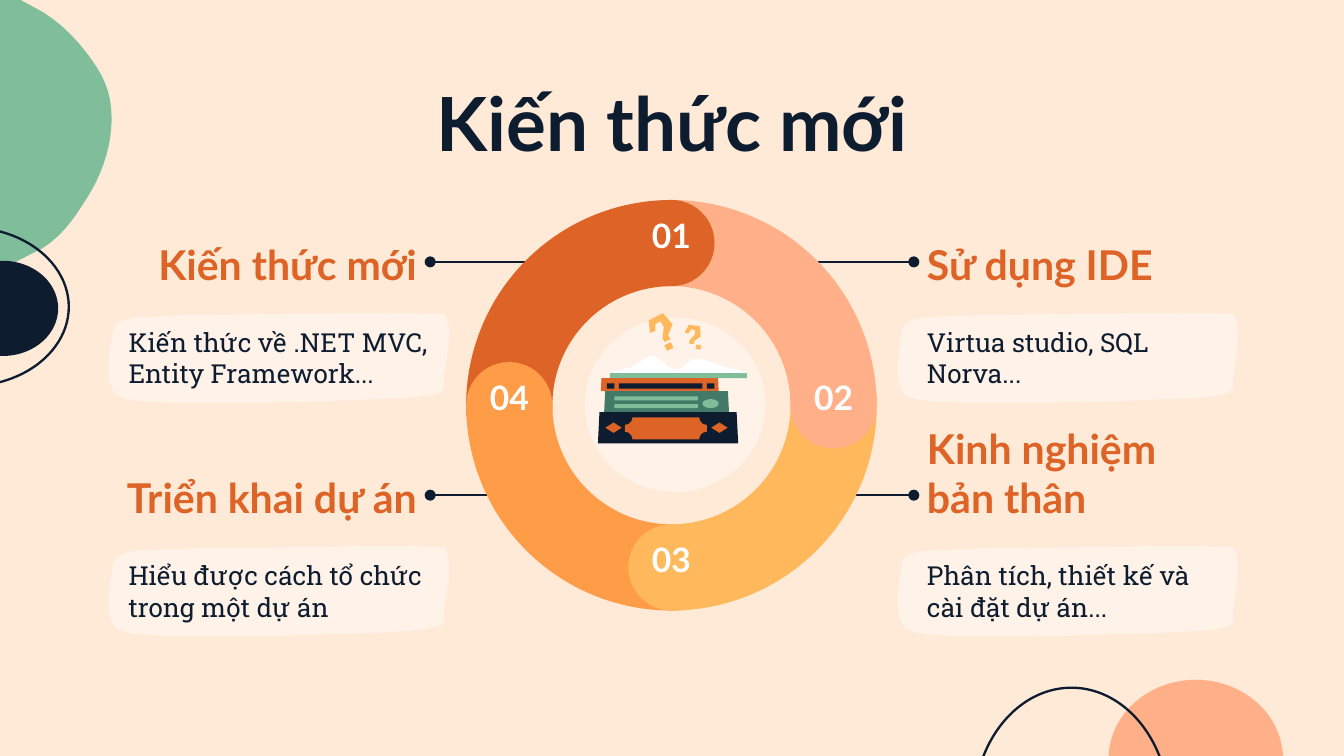
from dataclasses import dataclass

from lxml.etree import SubElement
from pptx import Presentation
from pptx.dml.color import RGBColor
from pptx.enum.shapes import MSO_CONNECTOR, MSO_SHAPE as Preset
from pptx.enum.text import MSO_ANCHOR as Anchor, PP_ALIGN as Align
from pptx.oxml.ns import qn
from pptx.util import Cm, Pt


@dataclass(frozen=True)
class Theme:
    cream: str = "FFEAD8"
    pale: str = "FFF2E8"
    white: str = "FFFFFF"
    navy: str = "0E1C30"
    mint: str = "80BE9B"
    pine: str = "437A67"
    pink: str = "FFB088"
    rust: str = "DD6326"
    orange: str = "FF9C47"
    yellow: str = "FFB95C"
    heading_font: str = "Lato"
    body_font: str = "Roboto Slab"
    title_size: int = 40
    heading_size: int = 22
    number_size: int = 18
    body_size: int = 14


@dataclass(frozen=True)
class Box:
    """A rectangle in centimetres."""
    left: float
    top: float
    width: float
    height: float

    def lengths(self):
        return Cm(self.left), Cm(self.top), Cm(self.width), Cm(self.height)

    def inner(self, left, top, width, height):
        """The part of this box given in percent of its sides."""
        return Box(self.left + self.width * left / 100, self.top + self.height * top / 100,
                   self.width * width / 100, self.height * height / 100)


THEME = Theme()

# Outlines, in percent of the box they fill.
PANEL = [(1, 35), (4, 9), (18, 3), (50, 1), (92, 0), (100, 10),
         (99, 68), (96, 90), (70, 97), (35, 100), (8, 97), (1, 80)]
PEBBLE = [(0, 0), (60, 9), (93, 30), (100, 51), (88, 74), (60, 93), (0, 100)]
PAGES = [(0, 100), (14, 55), (30, 0), (48, 75), (65, 15), (88, 60), (100, 100)]
HOOK = [(60, 0), (0, 25), (6, 68), (28, 62), (28, 38), (48, 28),
        (64, 48), (58, 86), (66, 100), (92, 90), (82, 76), (100, 38)]


def rgb(color):
    return RGBColor.from_string(color)


def paint(shape, color):
    shape.shadow.inherit = False
    shape.fill.solid()
    shape.fill.fore_color.rgb = rgb(color)
    shape.line.fill.background()


def add_preset(slide, box, preset, color):
    shape = slide.shapes.add_shape(preset, *box.lengths())
    paint(shape, color)
    return shape


def smooth(outline, steps=8):
    """Points of a closed Catmull-Rom curve through the outline."""
    count = len(outline)
    points = []
    for index in range(count):
        knots = [outline[(index + offset) % count] for offset in (-1, 0, 1, 2)]
        for t in (step / steps for step in range(steps)):
            weights = ((2 * t * t - t ** 3 - t) / 2, (3 * t ** 3 - 5 * t * t + 2) / 2,
                       (4 * t * t - 3 * t ** 3 + t) / 2, (t ** 3 - t * t) / 2)
            points.append(tuple(sum(w * knot[axis] for w, knot in zip(weights, knots))
                                for axis in (0, 1)))
    return points


def add_outline(slide, box, outline, color):
    spots = [box.inner(x, y, 0, 0) for x, y in outline]
    points = [(Cm(spot.left), Cm(spot.top)) for spot in spots]
    builder = slide.shapes.build_freeform(*points[0])
    builder.add_line_segments(points[1:], close=True)
    shape = builder.convert_to_shape()
    paint(shape, color)
    return shape


def add_text(slide, box, text, size, color, font=THEME.heading_font, bold=True,
             align=Align.LEFT, anchor=Anchor.MIDDLE):
    holder = slide.shapes.add_textbox(*box.lengths())
    frame = holder.text_frame
    frame.word_wrap = True
    frame.vertical_anchor = anchor
    frame.margin_left = frame.margin_right = frame.margin_top = frame.margin_bottom = Cm(0.25)
    paragraph = frame.paragraphs[0]
    paragraph.alignment = align
    run = paragraph.add_run()
    run.text = text
    run.font.name, run.font.size, run.font.bold = font, Pt(size), bold
    run.font.color.rgb = rgb(color)
    return holder


def add_loop(slide, box):
    loop = slide.shapes.add_shape(Preset.OVAL, *box.lengths())
    loop.shadow.inherit = False
    loop.fill.background()
    loop.line.color.rgb = rgb(THEME.navy)
    loop.line.width = Pt(1.25)


def decorate_left(slide, box):
    add_outline(slide, box, smooth(PEBBLE), THEME.mint)
    add_loop(slide, Box(box.left - 0.8, box.top + 4.7, 3.8, 3))
    add_preset(slide, Box(box.left + 0.7, box.top + 5.33, 2.1, 1.8), Preset.OVAL, THEME.navy)


def decorate_right(slide, box):
    add_preset(slide, Box(box.left + 2.55, box.top - 0.15, 3.3, 3), Preset.OVAL, THEME.pink)
    add_loop(slide, box)


def add_callout(slide, box, on_left, heading, body):
    """Heading in the box, a leader towards the ring, and a panel of text below."""
    shift = 0.33 if on_left else -0.33
    panel = Box(box.left + shift, box.top + 1.72, 6.43, 1.7)
    add_outline(slide, panel, smooth(PANEL), THEME.pale)
    label = add_text(slide, box, heading, THEME.heading_size, THEME.rust,
                     align=Align.RIGHT if on_left else Align.LEFT, anchor=Anchor.BOTTOM)
    body_box = Box(box.left + (0.48 if on_left else 0), panel.top, 7 if on_left else 6.1, panel.height)
    add_text(slide, body_box, body, THEME.body_size, THEME.navy, THEME.body_font, False,
             anchor=Anchor.TOP)

    start = box.left + box.width if on_left else box.left
    end = start + (2.35 if on_left else -2.35)
    middle = Cm(box.top + box.height / 2)
    leader = slide.shapes.add_connector(MSO_CONNECTOR.STRAIGHT, Cm(start), middle, Cm(end), middle)
    leader.begin_connect(label, 3 if on_left else 1)
    leader.line.color.rgb = rgb(THEME.navy)
    leader.line.width = Pt(0.75)
    SubElement(leader.line._get_or_add_ln(), qn("a:headEnd"), type="oval")
    SubElement(leader._element.spPr, qn("a:effectLst"))


def add_ring(slide, box):
    """Four arcs, each ending in a numbered round knob at the middle of a side."""
    knob = 1.63
    reach = (box.width - knob) / 2
    steps = [("02", THEME.pink, 30, 1, 0), ("01", THEME.rust, 300, 0, -1),
             ("04", THEME.orange, 210, -1, 0), ("03", THEME.yellow, 120, 0, 1)]
    for _, color, turn, _, _ in steps:
        arc = add_preset(slide, box, Preset.BLOCK_ARC, color)
        for index, value in enumerate((126.2, 181.8, 0.21)):
            arc.adjustments[index] = value
        arc.rotation = turn
        arc._element.spPr.get_or_add_xfrm().set("flipH", "1")
    for number, color, _, across, down in steps:
        left = box.left + reach * (1 + across)
        top = box.top + reach * (1 + down)
        add_preset(slide, Box(left, top, knob, knob), Preset.OVAL, color)
        add_text(slide, Box(left, top - 0.15, knob, knob), number, THEME.number_size, THEME.white,
                 align=Align.CENTER)


def add_question_mark(slide, box, turn):
    hook = add_outline(slide, box.inner(0, 0, 100, 82), HOOK, THEME.yellow)
    dot = add_preset(slide, box.inner(70, 86, 30, 18), Preset.RECTANGLE, THEME.yellow)
    hook.rotation = turn
    dot.rotation = turn - 25


def add_books(slide, box):
    """An open book on three closed ones, with two question marks above."""
    add_question_mark(slide, box.inner(34, 0, 16, 27), 0)
    add_question_mark(slide, box.inner(58, 8, 11, 19), 35)
    add_outline(slide, box.inner(12, 33, 83, 14), smooth(PAGES), THEME.white)
    spines = [(THEME.mint, 8, 46, 92, 4), (THEME.rust, 2, 50, 79, 10),
              (THEME.pine, 4, 60, 84, 20), (THEME.navy, 0, 76, 94, 24)]
    for color, *place in spines:
        spine = add_preset(slide, box.inner(*place), Preset.TRAPEZOID, color)
        spine.adjustments[0] = 0.05
    for left, width in ((6, 5), (14, 56), (73, 5)):
        add_preset(slide, box.inner(left, 54, width, 4), Preset.RECTANGLE, THEME.navy)
    for top in (64, 70):
        add_preset(slide, box.inner(11, top, 56, 3), Preset.RECTANGLE, THEME.mint)
    add_preset(slide, box.inner(70, 66, 11, 7), Preset.OVAL, THEME.mint)
    add_preset(slide, box.inner(18, 80, 55, 17), Preset.PLAQUE, THEME.rust).adjustments[0] = 0.35
    for left in (5, 76):
        add_preset(slide, box.inner(left, 84, 11, 8), Preset.DIAMOND, THEME.rust)


def main():
    deck = Presentation()
    deck.slide_width, deck.slide_height = Cm(25.4), Cm(14.29)
    slide = deck.slides.add_slide(deck.slide_layouts[6])
    slide.background.fill.solid()
    slide.background.fill.fore_color.rgb = rgb(THEME.cream)

    decorate_left(slide, Box(-1.7, -0.4, 3.8, 5.6))
    decorate_right(slide, Box(18.4, 13, 3.7, 4.6))
    add_text(slide, Box(2, 1.5, 21.4, 1.6), "Kiến thức mới", THEME.title_size, THEME.navy,
             align=Align.CENTER)
    rows = [
        (("Kiến thức mới", "Kiến thức về .NET MVC, Entity Framework..."),
         ("Sử dụng IDE", "Virtua studio, SQL Norva...")),
        (("Triển khai dự án", "Hiểu được cách tổ chức trong một dự án"),
         ("Kinh nghiệm bản thân", "Phân tích, thiết kế và cài đặt dự án...")),
    ]
    for row, (left, right) in enumerate(rows):
        top = 4.2 + 4.41 * row
        add_callout(slide, Box(1.7, top, 6.43, 1.5), True, *left)
        add_callout(slide, Box(17.27, top, 6.2, 1.5), False, *right)
    add_preset(slide, Box(11.05, 6, 3.42, 3.3), Preset.OVAL, THEME.pale)
    add_books(slide, Box(11.3, 5.92, 2.82, 2.46))
    add_ring(slide, Box(8.81, 3.78, 7.76, 7.76))
    deck.save("out.pptx")


if __name__ == "__main__":
    main()
